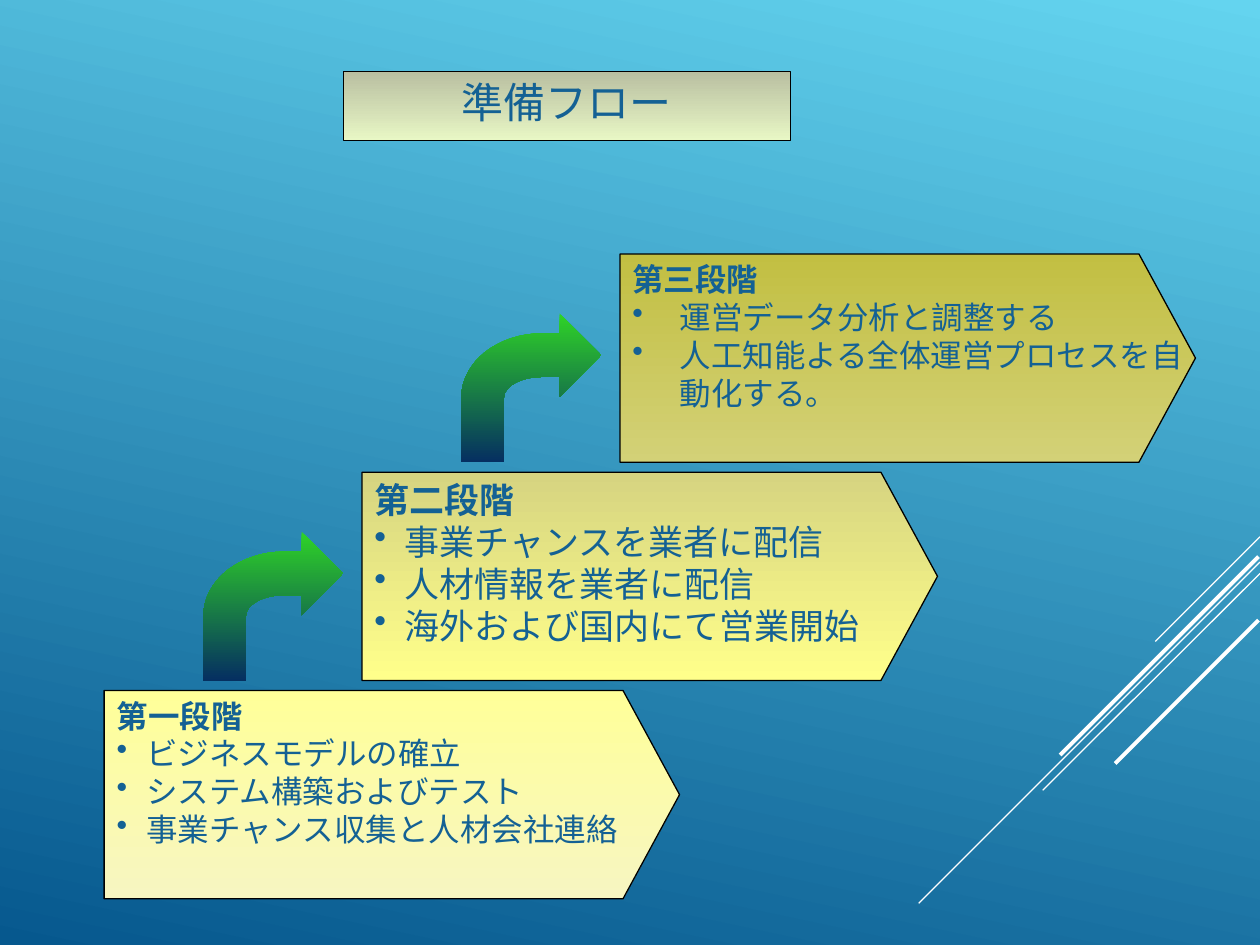
from dataclasses import dataclass
from math import cos, pi, sin

from lxml import etree
from pptx import Presentation
from pptx import util as u
from pptx.dml.color import RGBColor
from pptx.enum import shapes, text
from pptx.oxml import ns

FONT = "Noto Sans CJK JP"
INK = "146194"
STEP_X, STEP_Y = 5.2, -4.4
STAGE_W, STAGE_H, TIP = 11.6, 4.2, 1.14


@dataclass
class Stage:
    heading: str
    tasks: list[str]
    size: int
    indent: float
    top_color: str
    bottom_color: str


@dataclass
class Streak:
    x1: float
    y1: float
    x2: float
    y2: float
    weight: float


STAGES = [
    Stage("第一段階", ["ビジネスモデルの確立", "システム構築およびテスト", "事業チャンス収集と人材会社連絡"],
          18, 0.6, "FFFF99", "F7F6C1"),
    Stage("第二段階", ["事業チャンスを業者に配信", "人材情報を業者に配信", "海外および国内にて営業開始"],
          20, 0.6, "D6D480", "FFFF8B"),
    Stage("第三段階", ["運営データ分析と調整する", "人工知能よる全体運営プロセスを自動化する。"],
          18, 0.95, "C2BF42", "D3D177"),
]
STREAKS = [
    Streak(25.4, 10.82, 23.29, 12.93, 0.75),
    Streak(25.4, 11.33, 18.52, 18.21, 0.75),
    Streak(25.4, 11.56, 21.02, 15.93, 0.75),
    Streak(25.37, 11.22, 21.37, 15.22, 2.25),
    Streak(25.37, 12.5, 22.48, 15.39, 2.25),
]


def color(value: str) -> RGBColor:
    return RGBColor.from_string(value)


def add_child(parent, tag: str, **attributes: str):
    return etree.SubElement(parent, ns.qn(tag), attributes)


def fill_gradient(fill, start: str, end: str, angle: float = 270) -> None:
    fill.gradient()
    fill.gradient_angle = angle
    for stop, value, position in zip(fill.gradient_stops, (start, end), (0, 1)):
        stop.color.rgb = color(value)
        stop.position = position


def outline(shape) -> None:
    shape.line.color.rgb = color("000000")
    shape.line.width = u.Pt(0.75)


def set_font(paragraph, size: int, bold: bool = False) -> None:
    font = paragraph.font
    font.size, font.bold, font.name = u.Pt(size), bold, FONT
    font.color.rgb = color(INK)
    latin = paragraph._p.pPr.find(ns.qn("a:defRPr")).find(ns.qn("a:latin"))
    latin.addnext(latin.makeelement(ns.qn("a:ea"), {"typeface": FONT}))


def set_bullet(paragraph, indent: float) -> None:
    properties = paragraph._p.get_or_add_pPr()
    properties.set("marL", str(u.Cm(indent)))
    properties.set("indent", str(-u.Cm(indent)))
    bullet = properties.makeelement(ns.qn("a:buChar"), {"char": "•"})
    properties.find(ns.qn("a:defRPr")).addprevious(bullet)


def add_outline(slide, points: list[tuple[float, float]], left: float, top: float):
    corners = [(u.Cm(left + x), u.Cm(top + y)) for x, y in points]
    builder = slide.shapes.build_freeform(*corners[0])
    builder.add_line_segments(corners[1:])
    shape = builder.convert_to_shape()
    shape.shadow.inherit = False
    return shape


def add_stage(slide, stage: Stage, left: float, top: float) -> None:
    shoulder = STAGE_W - TIP
    panel = add_outline(slide, [(0, 0), (shoulder, 0), (STAGE_W, STAGE_H / 2),
                                (shoulder, STAGE_H), (0, STAGE_H)], left, top)
    fill_gradient(panel.fill, stage.top_color, stage.bottom_color)
    outline(panel)
    frame = panel.text_frame
    frame.word_wrap = True
    frame.vertical_anchor = text.MSO_ANCHOR.TOP
    for index, line in enumerate([stage.heading, *stage.tasks]):
        paragraph = frame.add_paragraph() if index else frame.paragraphs[0]
        paragraph.text = line
        paragraph.alignment = text.PP_ALIGN.LEFT
        set_font(paragraph, stage.size, bold=index == 0)
        if index:
            set_bullet(paragraph, stage.indent)


def bend(rx: float, ry: float) -> list[tuple[float, float]]:
    angles = [pi / 2 * i / 16 for i in range(17)]
    return [(1.63 - rx * sin(a), 1.7 - ry * cos(a)) for a in angles]


def add_bent_arrow(slide, left: float, top: float) -> None:
    points = [(2.82, 0.84), (1.98, 0), (1.98, 0.4), *bend(1.63, 1.3), (0, 3), (0.86, 3),
              *reversed(bend(0.77, 0.42)), (1.98, 1.28), (1.98, 1.68)]
    arrow = add_outline(slide, points, left, top)
    fill_gradient(arrow.fill, "2FD327", "052F61")
    arrow.line.fill.background()


def add_streak(slide, streak: Streak) -> None:
    ends = [u.Cm(v) for v in (streak.x1, streak.y1, streak.x2, streak.y2)]
    line = slide.shapes.add_connector(shapes.MSO_CONNECTOR.STRAIGHT, *ends)
    line.line.color.rgb = color("FFFFFF")
    line.line.width = u.Pt(streak.weight)
    add_child(line._element.spPr, "a:effectLst")


def format_title(title) -> None:
    title.left, title.top, title.width, title.height = map(u.Cm, (6.93, 1.44, 9, 1.4))
    geometry = add_child(title._element.spPr, "a:prstGeom", prst="roundRect")
    adjustments = add_child(geometry, "a:avLst")
    add_child(adjustments, "a:gd", name="adj", fmla="val 9900")
    fill_gradient(title.fill, "B9BFA1", "E8F7C5")
    outline(title)
    frame = title.text_frame
    frame.text = "準備フロー"
    frame.word_wrap = False
    frame.auto_size = text.MSO_AUTO_SIZE.NONE
    frame.vertical_anchor = text.MSO_ANCHOR.MIDDLE
    paragraph = frame.paragraphs[0]
    paragraph.alignment = text.PP_ALIGN.CENTER
    paragraph.line_spacing = 0.8
    paragraph.space_before = u.Pt(6)
    set_font(paragraph, 24)


def main() -> None:
    deck = Presentation()
    deck.slide_width, deck.slide_height = u.Cm(25.4), u.Cm(19.05)
    slide = deck.slides.add_slide(deck.slide_layouts[5])
    fill_gradient(slide.background.fill, "64D4EF", "06588E", 258)
    for streak in STREAKS:
        add_streak(slide, streak)
    for index, stage in enumerate(STAGES):
        left, top = 2.1 + index * STEP_X, 13.92 + index * STEP_Y
        add_stage(slide, stage, left, top)
        if index < len(STAGES) - 1:
            add_bent_arrow(slide, left + 2, top - 3.2)
    format_title(slide.shapes.title)
    deck.save("out.pptx")


if __name__ == "__main__":
    main()
